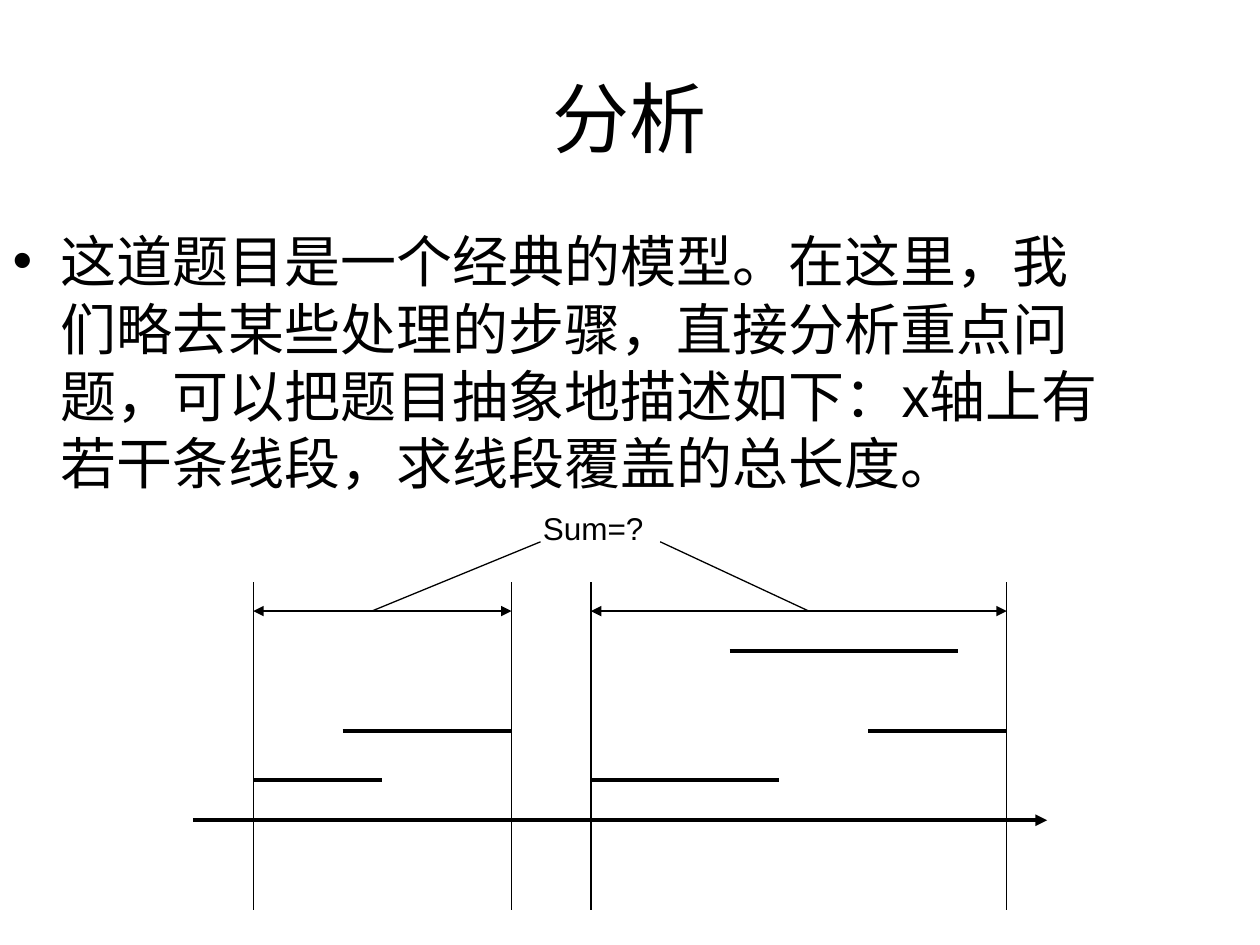
from pptx import Presentation
from pptx.dml.color import RGBColor
from pptx.enum.shapes import MSO_CONNECTOR as CONN
from pptx.enum.text import MSO_ANCHOR as ANCHOR, MSO_AUTO_SIZE as AUTO, PP_ALIGN as ALIGN
from pptx.oxml.ns import qn
from pptx.util import Inches, Pt
from lxml.etree import SubElement

COLORS = {"ink": "000000", "paper": "FFFFFF"}
THIN, THICK = 0.75, 2.25


def write(sp, text, box, size, align=ALIGN.LEFT, anchor=ANCHOR.TOP, before=0):
    """Place a shape and fill it with one formatted paragraph."""
    sp.left, sp.top, sp.width, sp.height = map(Inches, box)
    tf = sp.text_frame
    tf.word_wrap, tf.auto_size, tf.vertical_anchor = True, AUTO.NONE, anchor
    p = tf.paragraphs[0]
    p.alignment, p.space_before = align, Pt(before)
    r = p.add_run()
    r.text = text
    r.font.name, r.font.size = "Arial", Pt(size)
    r.font.color.rgb = RGBColor.from_string(COLORS["ink"])
    return p


def line(x1, y1, x2, y2, width=THIN, arrows=()):
    """Draw a straight line with triangles at the named ends."""
    c = s.shapes.add_connector(CONN.STRAIGHT, *map(Inches, (x1, y1, x2, y2)))
    c.line.width = Pt(width)
    c.line.color.rgb = RGBColor.from_string(COLORS["ink"])
    for end in arrows:
        SubElement(c.line._ln, qn(f"a:{end}"), type="triangle", w="med", len="med")
    SubElement(c._element.spPr, qn("a:effectLst"))


prs = Presentation()
prs.slide_width, prs.slide_height = Inches(10), Inches(7.5)
s = prs.slides.add_slide(prs.slide_layouts[1])
s.background.fill.solid()
s.background.fill.fore_color.rgb = RGBColor.from_string(COLORS["paper"])

write(s.shapes.title, "分析", (0.5, 0.3, 9, 1.25), 44, ALIGN.CENTER, ANCHOR.MIDDLE)
p = write(s.placeholders[1],
          "这道题目是一个经典的模型。在这里，我们略去某些处理的步骤，直接分析重点问题，"
          "可以把题目抽象地描述如下：x轴上有若干条线段，求线段覆盖的总长度。",
          (0, 1.75, 9, 4.95), 32, before=8)
pPr = p._p.get_or_add_pPr()
pPr.set("marL", str(Inches(0.38)))
pPr.set("indent", str(-Inches(0.38)))
SubElement(pPr, qn("a:buFont"), typeface="Arial")
SubElement(pPr, qn("a:buChar"), char="•")

# Covered spans: left, right, and where the label's leader starts and ends
SPANS = [(2.01, 4.06, 2.95, 4.29), (4.69, 7.99, 6.42, 5.24)]
SPAN_Y, LABEL_Y = 4.85, 4.3
for left, right, foot, tip in SPANS:
    for x in (left, right):
        line(x, 4.62, x, 7.22)
    line(left, SPAN_Y, right, SPAN_Y, arrows=("headEnd", "tailEnd"))
    line(foot, SPAN_Y, tip, LABEL_Y)

# Segments above the x axis, row by row
ROWS = {
    5.17: [(5.79, 7.6)],
    5.8: [(2.72, 4.06), (6.89, 7.99)],
    6.19: [(2.01, 3.03), (4.69, 6.18)],
}
for y, segments in ROWS.items():
    for start, end in segments:
        line(start, y, end, y, THICK)
line(1.53, 6.51, 8.31, 6.51, THICK, ("tailEnd",))

label = s.shapes.add_textbox(0, 0, 0, 0)
write(label, "Sum=?", (4.21, 3.99, 1.02, 0.4), 18, before=11.2)

prs.save("out.pptx")
